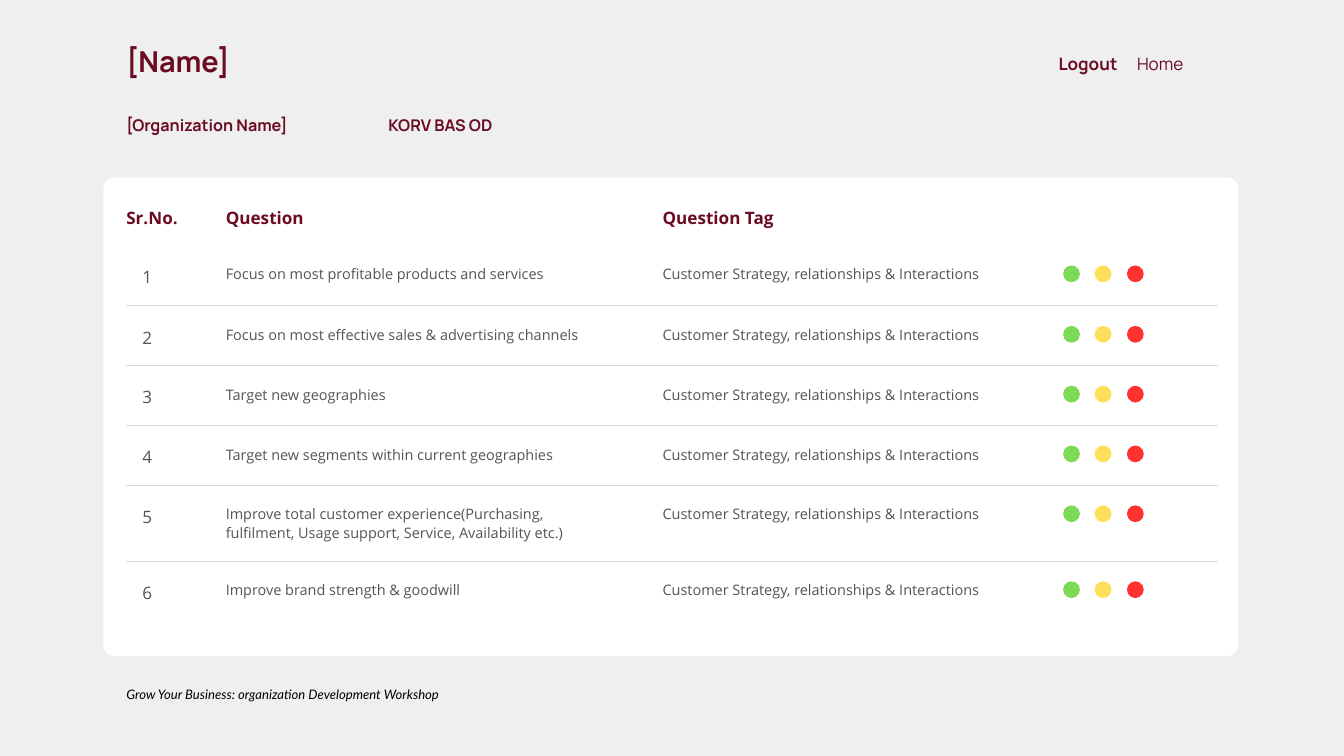
from lxml import etree
from pptx import Presentation
from pptx.dml.color import RGBColor
from pptx.enum import shapes, text
from pptx.oxml import ns
from pptx.util import Inches, Pt

PAGE = RGBColor(0xEF, 0xEF, 0xEF)
WHITE = RGBColor(0xFF, 0xFF, 0xFF)
BLACK = RGBColor(0, 0, 0)
MAROON = RGBColor(0x6A, 0x0B, 0x23)
GREY = RGBColor(0x54, 0x54, 0x54)
RULE = RGBColor(0xD9, 0xD9, 0xD9)
GREEN = RGBColor(0x7E, 0xD9, 0x57)
YELLOW = RGBColor(0xFF, 0xDE, 0x59)
RED = RGBColor(0xFF, 0x31, 0x31)

LEFT, RIGHT = 1.88, 18.12
QUESTION_X, TAG_X = 3.36, 9.86
DOTS = [(15.82, GREEN), (16.29, YELLOW), (16.77, RED)]
TAG = "Customer Strategy, relationships & Interactions"
ROWS = [
    (3.93, "Focus on most profitable products and services"),
    (4.83, "Focus on most effective sales & advertising channels"),
    (5.72, "Target new geographies"),
    (6.61, "Target new segments within current geographies"),
    (7.5, "Improve total customer experience(Purchasing, fulfilment, "
          "Usage support, Service, Availability etc.)"),
    (8.63, "Improve brand strength & goodwill"),
]


class Page:
    """Draws styled elements on one slide; lengths are in inches."""

    def __init__(self, slide):
        self.s = slide
        fill = slide.background.fill
        fill.solid()
        fill.fore_color.rgb = PAGE

    def shape(self, kind, x, y, w, h, color):
        sp = self.s.shapes.add_shape(kind, Inches(x), Inches(y), Inches(w), Inches(h))
        sp.shadow.inherit = False
        sp.fill.solid()
        sp.fill.fore_color.rgb = color
        sp.line.fill.background()
        return sp

    def rule(self, y):
        line = self.s.shapes.add_connector(
            shapes.MSO_CONNECTOR.STRAIGHT,
            Inches(LEFT), Inches(y), Inches(RIGHT), Inches(y))
        line.line.color.rgb = RULE
        line.line.width = Pt(0.75)
        etree.SubElement(line._element.spPr, ns.qn("a:effectLst"))

    def label(self, words, x, y, w, h, size, spacing, font="Open Sans", color=GREY,
              bold=False, italic=False, align=text.PP_ALIGN.LEFT):
        tf = self.s.shapes.add_textbox(
            Inches(x), Inches(y), Inches(w), Inches(h)).text_frame
        tf.margin_left = tf.margin_right = tf.margin_top = tf.margin_bottom = 0
        tf.word_wrap = True
        p = tf.paragraphs[0]
        p.text = words
        p.alignment = align
        p.line_spacing = Pt(spacing)
        p.font.name, p.font.size = font, Pt(size)
        p.font.bold, p.font.italic = bold, italic
        p.font.color.rgb = color

    def heading(self, words, x, y, w, h, size, spacing, font="Manrope", bold=True,
                align=text.PP_ALIGN.LEFT):
        self.label(words, x, y, w, h, size, spacing, font, MAROON, bold, align=align)

    def row(self, number, top, question):
        for x, color in DOTS:
            self.shape(shapes.MSO_SHAPE.OVAL, x, top + 0.02, 0.25, 0.25, color)
        self.label(str(number), 2.12, top + 0.01, 0.23, 0.3, 18.3, 23.8)
        self.label(question, QUESTION_X, top, 5.49, 0.27, 15.5, 20.1)
        self.label(TAG, TAG_X, top, 4.81, 0.27, 15.5, 20.1)


def main():
    prs = Presentation()
    prs.slide_width, prs.slide_height = Inches(20), Inches(11.25)
    page = Page(prs.slides.add_slide(prs.slide_layouts[6]))

    page.heading("[Name]", LEFT, 0.7, 3.64, 0.52, 30.9, 34)
    for words, x, bold in [("Logout", 15.03, True), ("Home", 16.01, False)]:
        page.heading(words, x, 0.82, 1.6, 0.3, 18.3, 20.1, bold=bold,
                     align=text.PP_ALIGN.RIGHT)
    for words, x, w in [("[Organization Name]", LEFT, 3.17), ("KORV BAS OD", 5.78, 2.04)]:
        page.heading(words, x, 1.74, w, 0.28, 17.3, 19)

    card = page.shape(shapes.MSO_SHAPE.ROUNDED_RECTANGLE, 1.54, 2.64, 16.88, 7.12, WHITE)
    card.adjustments[0] = 0.022
    for words, x, w in [("Sr.No.", LEFT, 0.94), ("Question", QUESTION_X, 1.5),
                        ("Question Tag", TAG_X, 1.77)]:
        page.heading(words, x, 3.08, w, 0.28, 18.3, 21.9, "Open Sans")

    for number, (top, question) in enumerate(ROWS, 1):
        page.row(number, top, question)
        if number > 1:
            page.rule(top - 0.28)

    page.label("Grow Your Business: organization Development Workshop",
               LEFT, 10.19, 10.09, 0.25, 14, 18.2, "Lato", BLACK, italic=True)
    prs.save("out.pptx")


if __name__ == "__main__":
    main()
